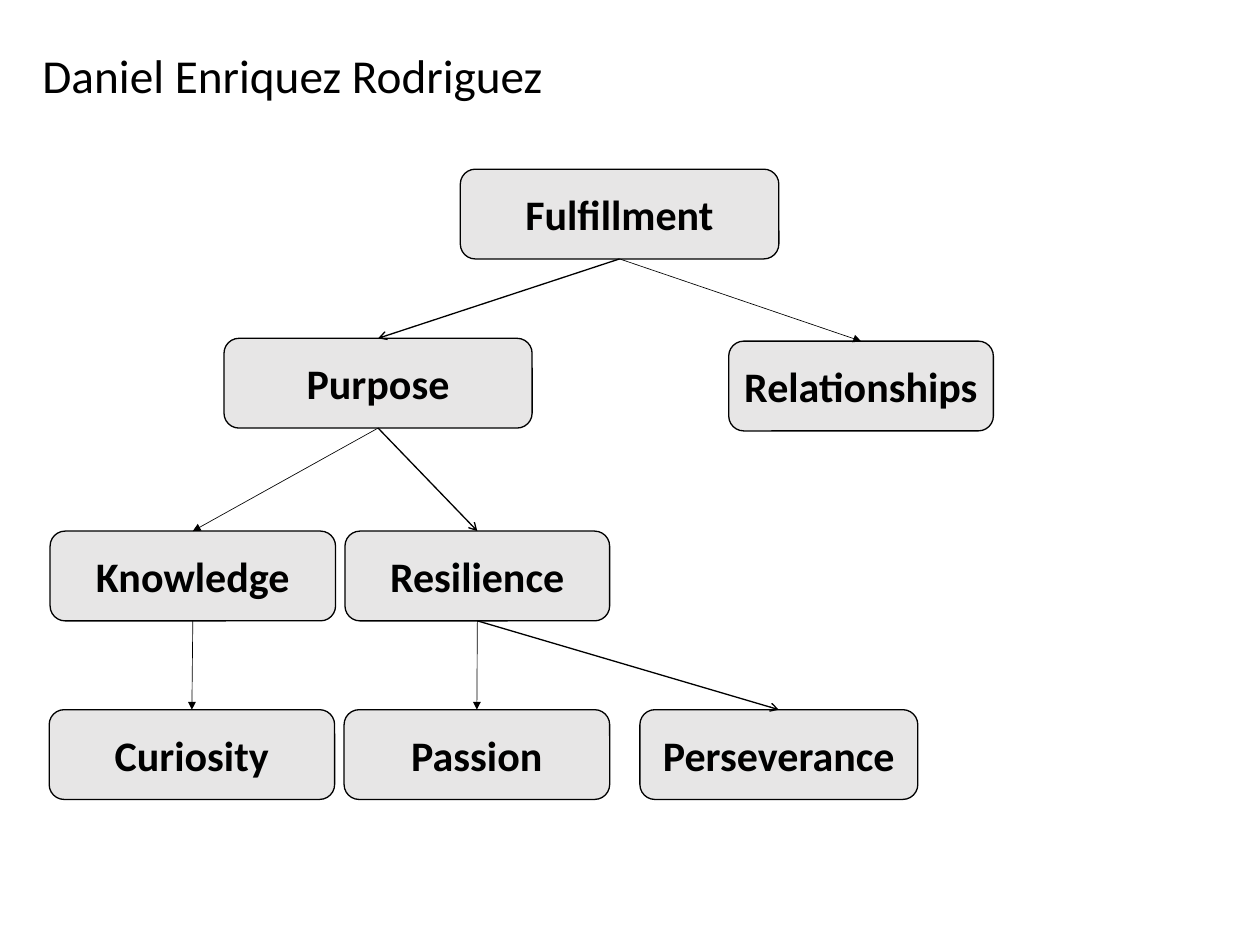
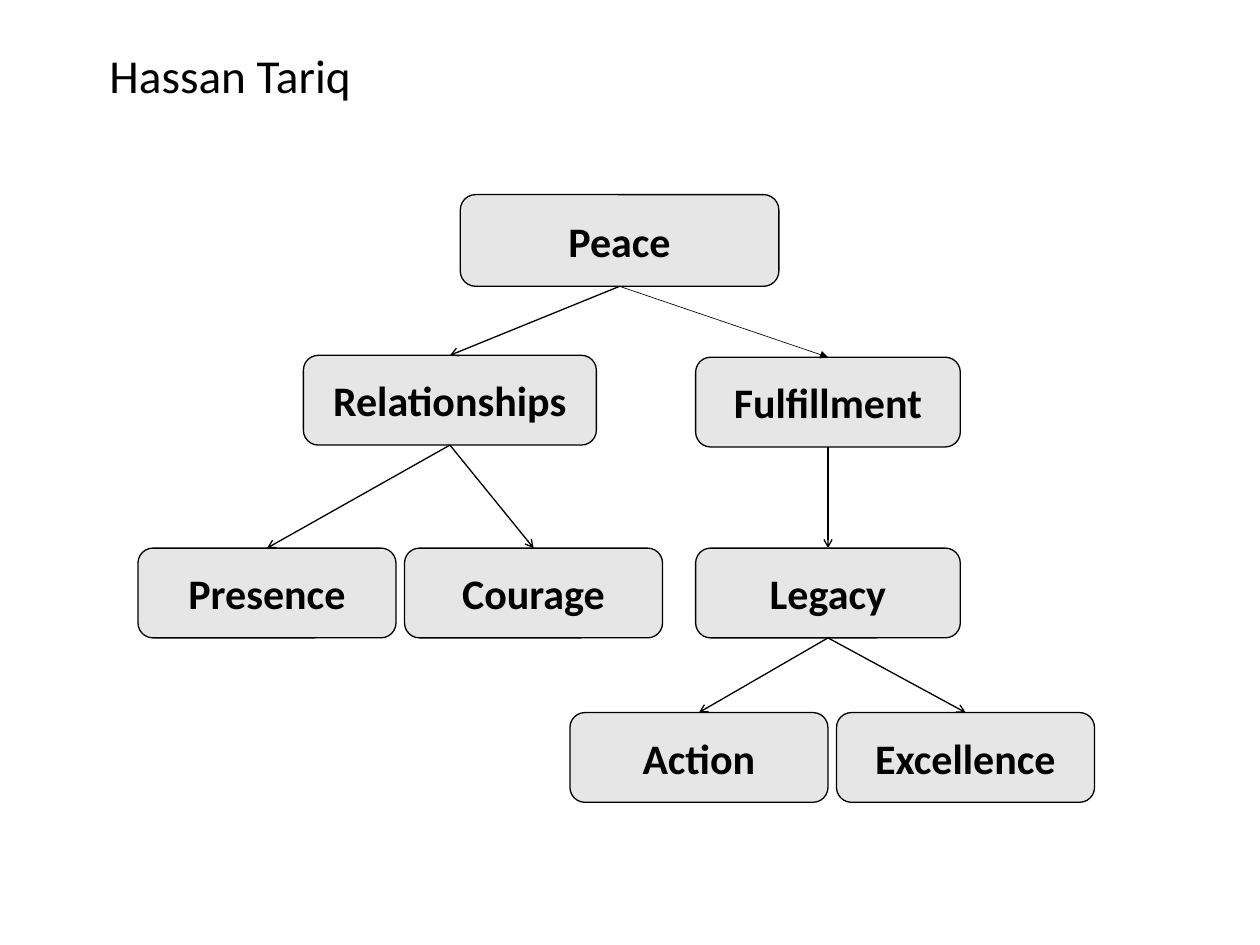
from dataclasses import dataclass

from lxml import etree
from pptx import Presentation
from pptx.dml.color import RGBColor
from pptx.enum.shapes import MSO_CONNECTOR, MSO_SHAPE
from pptx.enum.text import MSO_ANCHOR, PP_ALIGN
from pptx.oxml.ns import qn
from pptx.util import Inches, Pt

ROUNDED = MSO_SHAPE.ROUNDED_RECTANGLE
STRAIGHT = MSO_CONNECTOR.STRAIGHT
MIDDLE = MSO_ANCHOR.MIDDLE
CENTER = PP_ALIGN.CENTER

BLANK_LAYOUT = 6
TOP_SITE, BOTTOM_SITE = 0, 2

BLACK = "000000"
BOX_FILL = "E7E6E6"
TITLE_FORMAT = {"name": "Calibri", "size": Pt(36), "bold": False}
BOX_FORMAT = {"name": "Calibri", "size": Pt(32), "bold": True}

# Arrow styles: head type and line width in points
OPEN = ("arrow", 1)
SOLID = ("triangle", 0.5)


@dataclass
class ValueBox:
    """A named value, placed relative to the corner of its tree."""
    left: float
    top: float
    width: float
    height: float = 0.95


SLIDES = [
    {
        "title": "Daniel Enriquez Rodriguez",
        "title_width": 6.19,
        "origin": (0.52, 1.79),
        "boxes": {
            "Fulfillment": ValueBox(4.35, 0, 3.37),
            "Purpose": ValueBox(1.85, 1.79, 3.26),
            "Relationships": ValueBox(7.19, 1.82, 2.8),
            "Knowledge": ValueBox(0.01, 3.83, 3.02),
            "Resilience": ValueBox(3.13, 3.83, 2.8),
            "Curiosity": ValueBox(0, 5.72, 3.02),
            "Passion": ValueBox(3.12, 5.72, 2.81),
            "Perseverance": ValueBox(6.25, 5.72, 2.94),
        },
        "arrows": [
            ("Fulfillment", "Purpose", OPEN),
            ("Fulfillment", "Relationships", SOLID),
            ("Purpose", "Knowledge", SOLID),
            ("Purpose", "Resilience", OPEN),
            ("Knowledge", "Curiosity", SOLID),
            ("Resilience", "Passion", SOLID),
            ("Resilience", "Perseverance", OPEN),
        ],
    },
    {
        "title": "Hassan Tariq",
        "title_width": 4.87,
        "origin": (1.46, 2.06),
        "boxes": {
            "Peace": ValueBox(3.41, 0, 3.37, 0.97),
            "Relationships": ValueBox(1.75, 1.7, 3.1),
            "Fulfillment": ValueBox(5.9, 1.72, 2.8),
            "Presence": ValueBox(0, 3.74, 2.73),
            "Courage": ValueBox(2.82, 3.74, 2.73),
            "Legacy": ValueBox(5.9, 3.74, 2.8),
            "Action": ValueBox(4.57, 5.48, 2.73),
            "Excellence": ValueBox(7.39, 5.48, 2.73),
        },
        "arrows": [
            ("Peace", "Relationships", OPEN),
            ("Peace", "Fulfillment", SOLID),
            ("Relationships", "Presence", OPEN),
            ("Relationships", "Courage", OPEN),
            ("Fulfillment", "Legacy", OPEN),
            ("Legacy", "Action", OPEN),
            ("Legacy", "Excellence", OPEN),
        ],
    },
]


def color(hex_code):
    return RGBColor.from_string(hex_code)


def write_text(shape, text, font_format):
    """Centre one line of formatted text in the shape."""
    frame = shape.text_frame
    frame.word_wrap = True
    frame.vertical_anchor = MIDDLE
    paragraph = frame.paragraphs[0]
    paragraph.alignment = CENTER
    run = paragraph.add_run()
    run.text = text
    for attribute, value in font_format.items():
        setattr(run.font, attribute, value)
    run.font.color.rgb = color(BLACK)


def add_title(slide, text, left, top, width, height):
    title = slide.shapes.add_textbox(
        Inches(left), Inches(top), Inches(width), Inches(height))
    write_text(title, text, TITLE_FORMAT)


def add_box(slide, text, left, top, width, height):
    shape = slide.shapes.add_shape(
        ROUNDED, Inches(left), Inches(top), Inches(width), Inches(height))
    shape.shadow.inherit = False
    shape.fill.solid()
    shape.fill.fore_color.rgb = color(BOX_FILL)
    shape.line.color.rgb = color(BLACK)
    shape.line.width = Pt(1)
    write_text(shape, text, BOX_FORMAT)
    return shape


def add_arrow(slide, parent, child, style):
    """Link the bottom of the parent to the top of the child."""
    head, width = style
    connector = slide.shapes.add_connector(STRAIGHT, 0, 0, 0, 0)
    connector.begin_connect(parent, BOTTOM_SITE)
    connector.end_connect(child, TOP_SITE)
    connector.line.color.rgb = color(BLACK)
    connector.line.width = Pt(width)
    # Arrowhead, and no shadow
    etree.SubElement(connector.line._get_or_add_ln(), qn("a:tailEnd"), type=head)
    etree.SubElement(connector._element.spPr, qn("a:effectLst"))


def add_tree(slide, boxes, arrows, left, top):
    shapes = {
        name: add_box(slide, name, left + box.left, top + box.top,
                      box.width, box.height)
        for name, box in boxes.items()
    }
    for parent, child, style in arrows:
        add_arrow(slide, shapes[parent], shapes[child], style)


def add_value_slide(presentation, content):
    slide = presentation.slides.add_slide(presentation.slide_layouts[BLANK_LAYOUT])
    add_title(slide, content["title"], 0, 0.43, content["title_width"], 0.71)
    add_tree(slide, content["boxes"], content["arrows"], *content["origin"])


def main():
    presentation = Presentation()
    presentation.slide_width = Inches(13.33)
    presentation.slide_height = Inches(10)
    for content in SLIDES:
        add_value_slide(presentation, content)
    presentation.save("out.pptx")


if __name__ == "__main__":
    main()
